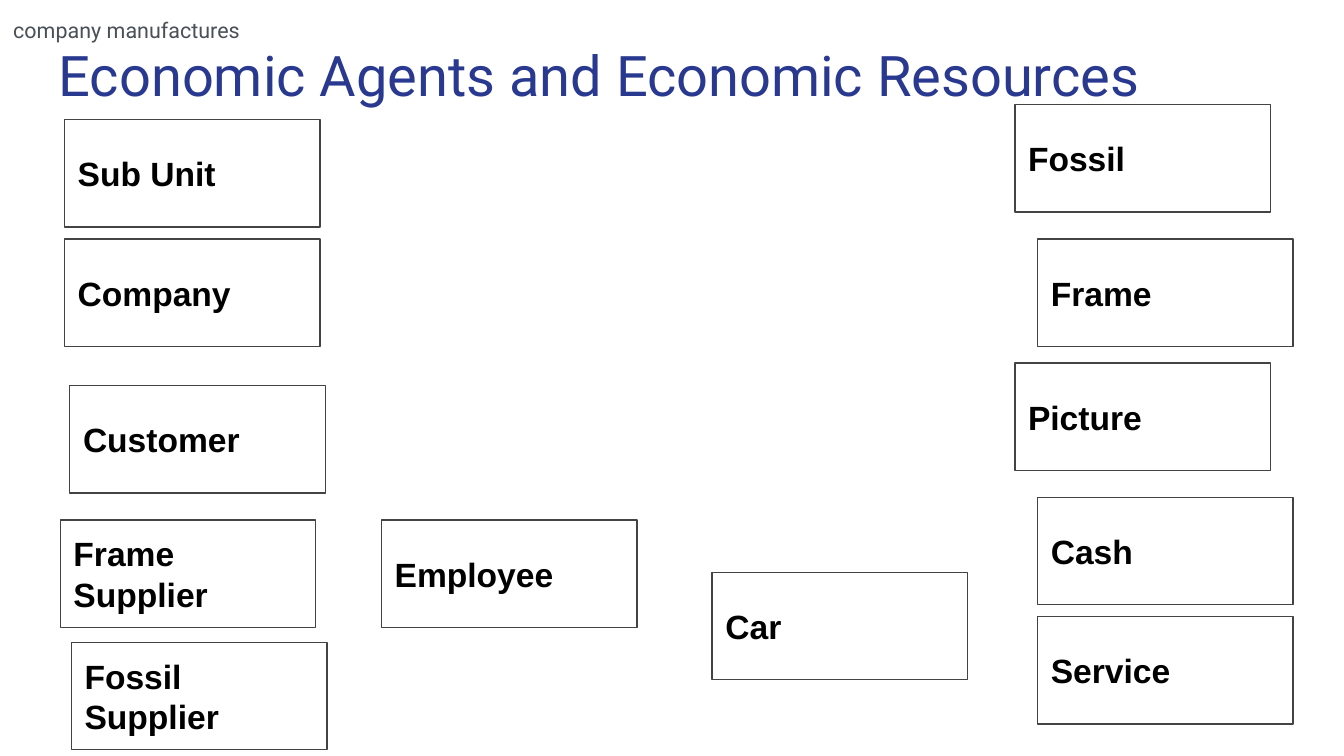
"""Builds a slide of economic agents and economic resources."""
from pptx import Presentation
from pptx import util as u
from pptx.dml.color import RGBColor
from pptx.enum import shapes, text

COLORS = {"title": "2A3990", "caption": "495057", "label": "000000", "border": "434343"}
BOX_WIDTH, BOX_HEIGHT = u.Cm(4.83), u.Cm(2.03)
INSET = u.Cm(0.25)

AGENTS = [
    ("Sub Unit", 1.22, 2.26),
    ("Company", 1.22, 4.52),
    ("Customer", 1.32, 7.29),
    ("Frame Supplier", 1.14, 9.83),
    ("Fossil Supplier", 1.35, 12.14),
    ("Employee", 7.21, 9.83),
]
RESOURCES = [
    ("Fossil", 19.18, 1.98),
    ("Frame", 19.61, 4.52),
    ("Picture", 19.18, 6.86),
    ("Cash", 19.61, 9.4),
    ("Service", 19.61, 11.66),
    ("Car", 13.46, 10.82),
]


class SlideBuilder:
    """Holds the style and the current slide."""

    def __init__(self, slide, colors):
        self.slide = slide
        self.colors = colors

    def set_text(self, shape, wording, font_name, size, color, anchor, bold=False):
        """Fills a shape with one left-aligned paragraph."""
        frame = shape.text_frame
        frame.text = wording
        frame.word_wrap = True
        frame.auto_size = text.MSO_AUTO_SIZE.NONE
        frame.vertical_anchor = anchor
        frame.margin_left = frame.margin_right = INSET
        frame.margin_top = frame.margin_bottom = INSET
        paragraph = frame.paragraphs[0]
        paragraph.alignment = text.PP_ALIGN.LEFT
        paragraph.font.name = font_name
        paragraph.font.size = u.Pt(size)
        paragraph.font.bold = bold
        paragraph.font.color.rgb = RGBColor.from_string(self.colors[color])
        return paragraph

    def title(self, wording):
        """Places and formats the title placeholder."""
        heading = self.slide.shapes.title
        heading.left, heading.top = u.Cm(0.86), u.Cm(0.51)
        heading.width, heading.height = u.Cm(23.67), u.Cm(1.68)
        paragraph = self.set_text(heading, wording, "Roboto", 30, "title", text.MSO_ANCHOR.TOP)
        paragraph.line_spacing = 1.0
        paragraph.space_before = u.Pt(0)

    def caption(self, wording):
        """Adds the small line above the title."""
        caption = self.slide.shapes.add_textbox(0, 0, u.Cm(8.33), u.Cm(1.02))
        paragraph = self.set_text(caption, wording, "Roboto", 11.5, "caption", text.MSO_ANCHOR.TOP)
        caption.text_frame.auto_size = text.MSO_AUTO_SIZE.SHAPE_TO_FIT_TEXT
        paragraph.line_spacing = 1.15
        paragraph.space_after = u.Pt(12)

    def entity(self, name, left, top):
        """Adds an outlined box for one agent or resource."""
        box = self.slide.shapes.add_shape(
            shapes.MSO_SHAPE.RECTANGLE, u.Cm(left), u.Cm(top), BOX_WIDTH, BOX_HEIGHT
        )
        box.shadow.inherit = False
        box.fill.background()
        box.line.color.rgb = RGBColor.from_string(self.colors["border"])
        box.line.width = u.Pt(0.75)
        self.set_text(box, name, "Arial", 18, "label", text.MSO_ANCHOR.MIDDLE, bold=True)


def main():
    """Builds and saves the presentation."""
    deck = Presentation()
    deck.slide_width, deck.slide_height = u.Cm(25.4), u.Cm(14.29)
    builder = SlideBuilder(deck.slides.add_slide(deck.slide_layouts[5]), COLORS)
    builder.title("Economic Agents and Economic Resources")
    builder.caption("company manufactures")
    for name, left, top in AGENTS + RESOURCES:
        builder.entity(name, left, top)
    deck.save("out.pptx")


if __name__ == "__main__":
    main()
